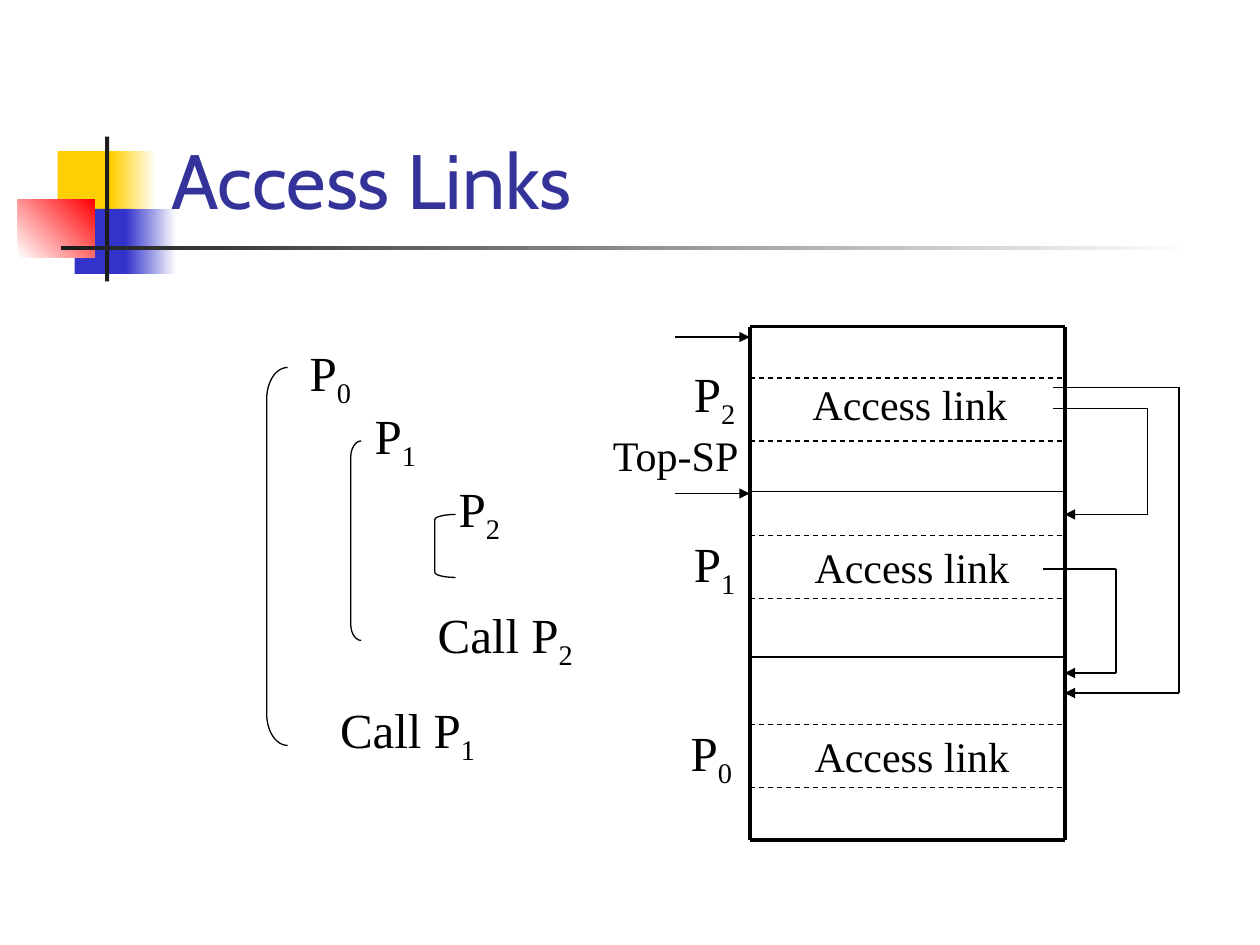
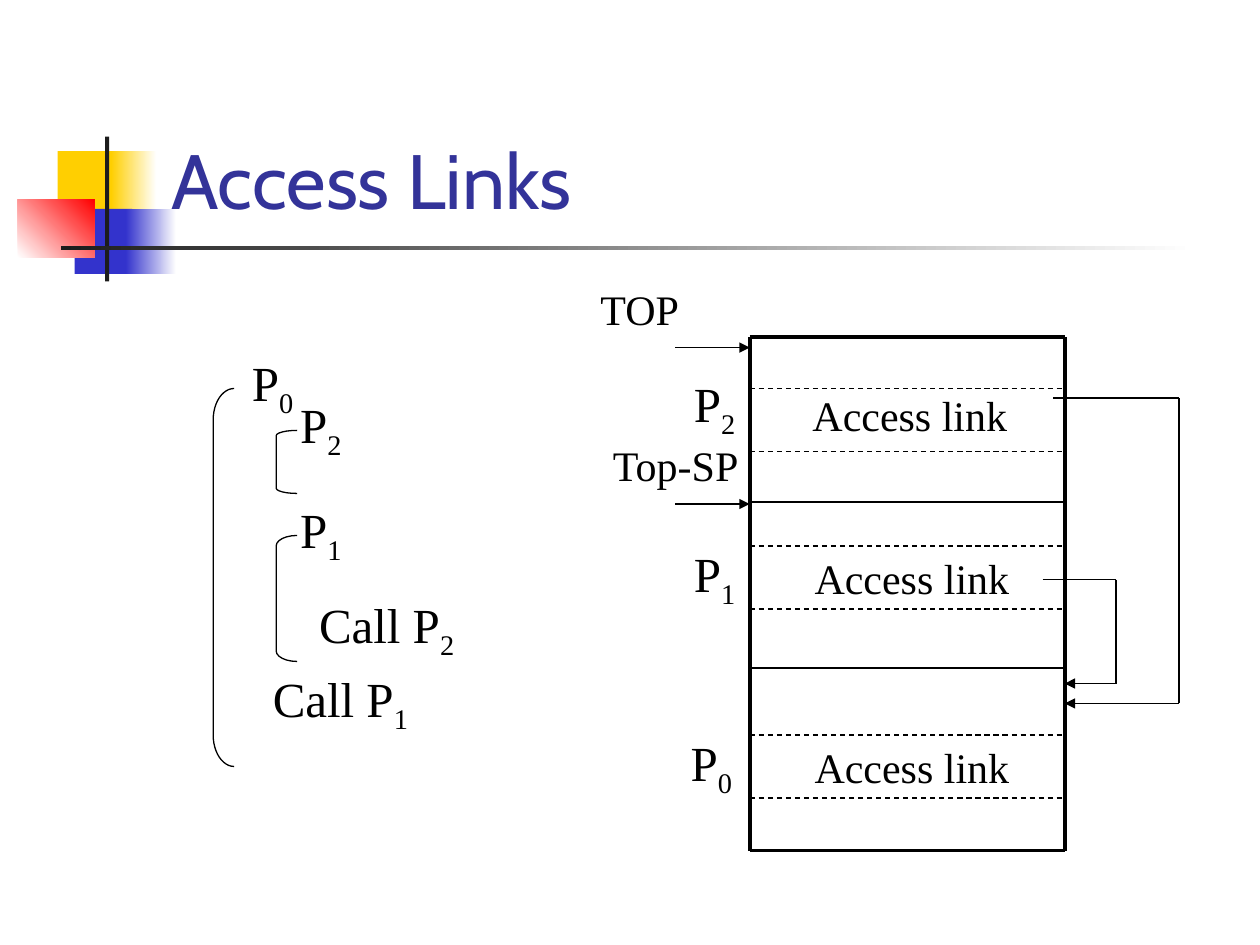
"""Build two slides that show access links between nested procedures on a stack."""
import lxml.etree
import pptx
import pptx.dml.color
import pptx.enum.dml
import pptx.enum.shapes
import pptx.enum.text
import pptx.oxml.ns
import pptx.util

THEME = {
    "ink": "000000", "title": "333399", "paper": "FFFFFF", "gold": "FFCF01",
    "blue": "3333CC", "red": "FF0000", "dark": "1C1C1C",
    "serif": "Times New Roman", "sans": "Cabin",
    "head": 44, "proc": 28, "label": 24,
    "thin": 0.75, "mid": 1, "thick": 2.25,
}
COLS, ROWS = 120, 90
SHAPE = pptx.enum.shapes.MSO_SHAPE
RGB = pptx.dml.color.RGBColor.from_string
DASH = pptx.enum.dml.MSO_LINE.DASH
qn = pptx.oxml.ns.qn

deck = pptx.Presentation()
deck.slide_width = pptx.util.Inches(10)
deck.slide_height = pptx.util.Inches(7.5)
col = deck.slide_width / COLS
row = deck.slide_height / ROWS


def write(shape, text, sub="", size="proc", font="serif", color="ink", wrap=False, anchor="TOP"):
    frame = shape.text_frame
    frame.word_wrap = wrap
    frame.auto_size = pptx.enum.text.MSO_AUTO_SIZE.NONE
    frame.vertical_anchor = getattr(pptx.enum.text.MSO_ANCHOR, anchor)
    line = frame.paragraphs[0]
    line.alignment = pptx.enum.text.PP_ALIGN.LEFT
    for part in filter(None, (text, sub)):
        run = line.add_run()
        run.text = part
        run.font.size = pptx.util.Pt(THEME[size])
        run.font.name = THEME[font]
        run.font.color.rgb = RGB(THEME[color])
    if sub:
        shape.element.xpath(".//a:rPr")[-1].set("baseline", "-25000")


def route(shapes, points, weight="thin", dash=None, arrow=False):
    for start, end in zip(points, points[1:]):
        (x1, y1), (x2, y2) = start, end
        line = shapes.add_connector(
            pptx.enum.shapes.MSO_CONNECTOR.STRAIGHT,
            int(x1 * col), int(y1 * row), int(x2 * col), int(y2 * row))
        line.line.color.rgb = RGB(THEME["ink"])
        line.line.width = pptx.util.Pt(THEME[weight])
        if dash:
            line.line.dash_style = dash
        if arrow and end == points[-1]:
            stroke = line.element.xpath(".//a:ln")[0]
            lxml.etree.SubElement(stroke, qn("a:tailEnd"), type="triangle")
        lxml.etree.SubElement(line.element.spPr, qn("a:effectLst"))


master = deck.slide_master
layout = deck.slide_layouts[5]
title = master.placeholders[0]
title.left, title.top = int(15.1 * col), int(2.8 * row)
title.width, title.height = int(102.2 * col), int(19.2 * row)

slides = [deck.slides.add_slide(layout) for count in range(2)]

BANDS = [
    ((5.5, 14.4, 5.8, 6.2), ["gold"], 0),
    ((10.6, 14.4, 4.3, 6.2), ["gold", "paper"], 0),
    ((7.1, 19.9, 5.5, 6.2), ["blue"], 0),
    ((12, 19.9, 4.8, 6.2), ["blue", "paper"], 0),
    ((1.7, 19, 7.3, 5.5), ["paper", "red"], 45),
    ((10, 13, 0.4, 13.8), ["dark"], 0),
    ((5.8, 23.4, 108, 0.4), ["dark", "paper"], 0),
]
for place, (box, tints, angle) in enumerate(BANDS, 2):
    x, y, wide, high = box
    band = slides[0].shapes.add_shape(
        SHAPE.RECTANGLE, int(x * col), int(y * row), int(wide * col), int(high * row))
    band.shadow.inherit = False
    band.line.fill.background()
    if len(tints) == 1:
        band.fill.solid()
        band.fill.fore_color.rgb = RGB(THEME[tints[0]])
    else:
        band.fill.gradient()
        band.fill.gradient_angle = angle
        for stop, tint, spot in zip(band.fill.gradient_stops, tints, (0, 1)):
            stop.color.rgb = RGB(THEME[tint])
            stop.position = spot
    master.shapes.element.insert(place, band.element)

LEFT, RIGHT = 71.4, 101.4
STACK = [
    ("Access link", "", 76.2, 35.5, 20.9, "label"),
    ("Access link", "", 76.4, 51, 20.9, "label"),
    ("Access link", "", 76.4, 69, 20.9, "label"),
    ("Top-SP", "", 57.2, 40.3, 14.6, "label"),
    ("P", "2", 64.9, 34, 6.4, "proc"),
    ("P", "1", 64.9, 50.2, 6.4, "proc"),
    ("P", "0", 64.6, 68.2, 6.4, "proc"),
]
LINKS = [
    [(100.3, 36.9), (112.3, 36.9), (112.3, 66), (RIGHT, 66)],
    [(99.3, 54.2), (106.3, 54.2), (106.3, 64.1), (RIGHT, 64.1)],
    [(64.3, 32.1), (LEFT, 32.1)],
    [(64.3, 47), (LEFT, 47)],
]
PAGES = [
    {
        "drop": 0,
        "texts": [
            ("P", "0", 28.3, 32, 6.4, "proc"),
            ("P", "1", 34.5, 38, 6.4, "proc"),
            ("P", "2", 42.5, 45, 6.4, "proc"),
            ("Call P", "2", 40.5, 57, 15.3, "proc"),
            ("Call P", "1", 31.2, 66, 15.3, "proc"),
        ],
        "braces": [(25.4, 35, 2, 36), (33.4, 42, 1, 19), (41.4, 49, 2, 6)],
        "links": [[(100.3, 38.9), (109.3, 38.9), (109.3, 49), (RIGHT, 49)]],
    },
    {
        "drop": 1,
        "texts": [
            ("TOP", "", 56, 26.4, 10, "label"),
            ("P", "0", 22.8, 33, 6.4, "proc"),
            ("P", "2", 27.4, 37, 6.4, "proc"),
            ("P", "1", 27.4, 47, 6.4, "proc"),
            ("Call P", "2", 29.2, 56, 15.3, "proc"),
            ("Call P", "1", 24.8, 63.1, 15.3, "proc"),
        ],
        "braces": [(20.3, 37, 2, 36), (26.3, 41, 2, 6), (26.3, 51, 2, 12)],
        "links": [],
    },
]

for slide, page in zip(slides, PAGES):
    shapes, drop = slide.shapes, page["drop"]
    write(shapes.title, "Access Links", size="head", font="sans", color="title",
          wrap=True, anchor="BOTTOM")

    top, base = 31.1 + drop, 80 + drop
    for y, weight in ((top, "thick"), (46.8 + drop, "mid"), (62.6 + drop, "mid"), (base, "thick")):
        route(shapes, [(LEFT, y), (RIGHT, y)], weight)
    for x in (LEFT, RIGHT):
        route(shapes, [(x, top), (x, base)], "thick")
    for y in (36, 51, 69):
        for edge in (y + drop, y + drop + 6):
            route(shapes, [(LEFT, edge), (RIGHT, edge)], dash=DASH)

    for points in LINKS + page["links"]:
        route(shapes, [(x, y + drop) for x, y in points], arrow=True)

    moved = [(text, sub, x, y + drop, wide, size) for text, sub, x, y, wide, size in STACK]
    for text, sub, x, y, wide, size in moved + page["texts"]:
        high = 6 if size == "label" else 7.5
        box = shapes.add_textbox(int(x * col), int(y * row), int(wide * col), int(high * row))
        write(box, text, sub, size)

    for x, y, wide, high in page["braces"]:
        brace = shapes.add_shape(
            SHAPE.LEFT_BRACKET, int(x * col), int(y * row), int(wide * col), int(high * row))
        brace.adjustments[0] = high / 12 / wide
        brace.shadow.inherit = False
        brace.fill.background()
        brace.line.color.rgb = RGB(THEME["ink"])
        brace.line.width = pptx.util.Pt(THEME["thin"])

deck.save("out.pptx")
